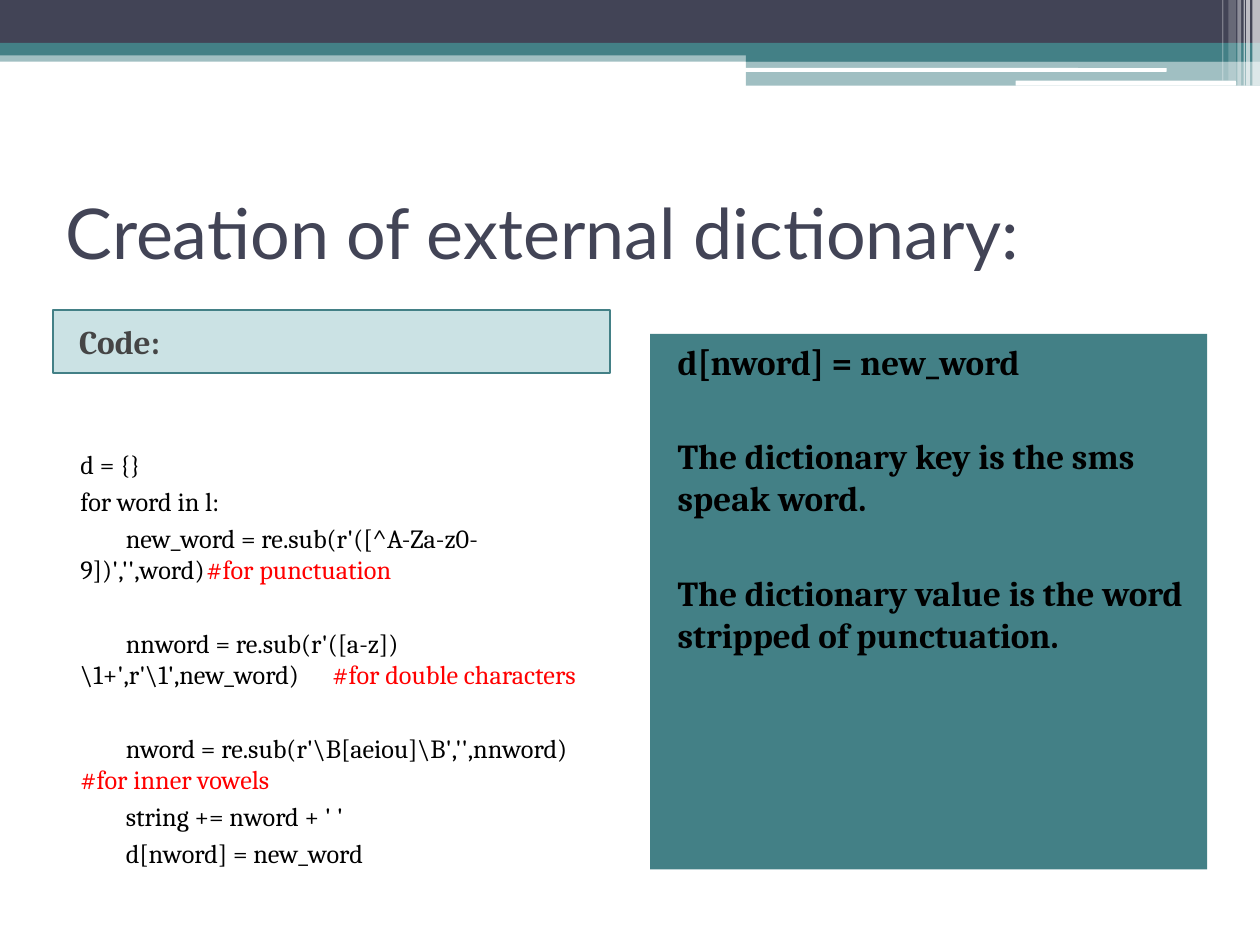
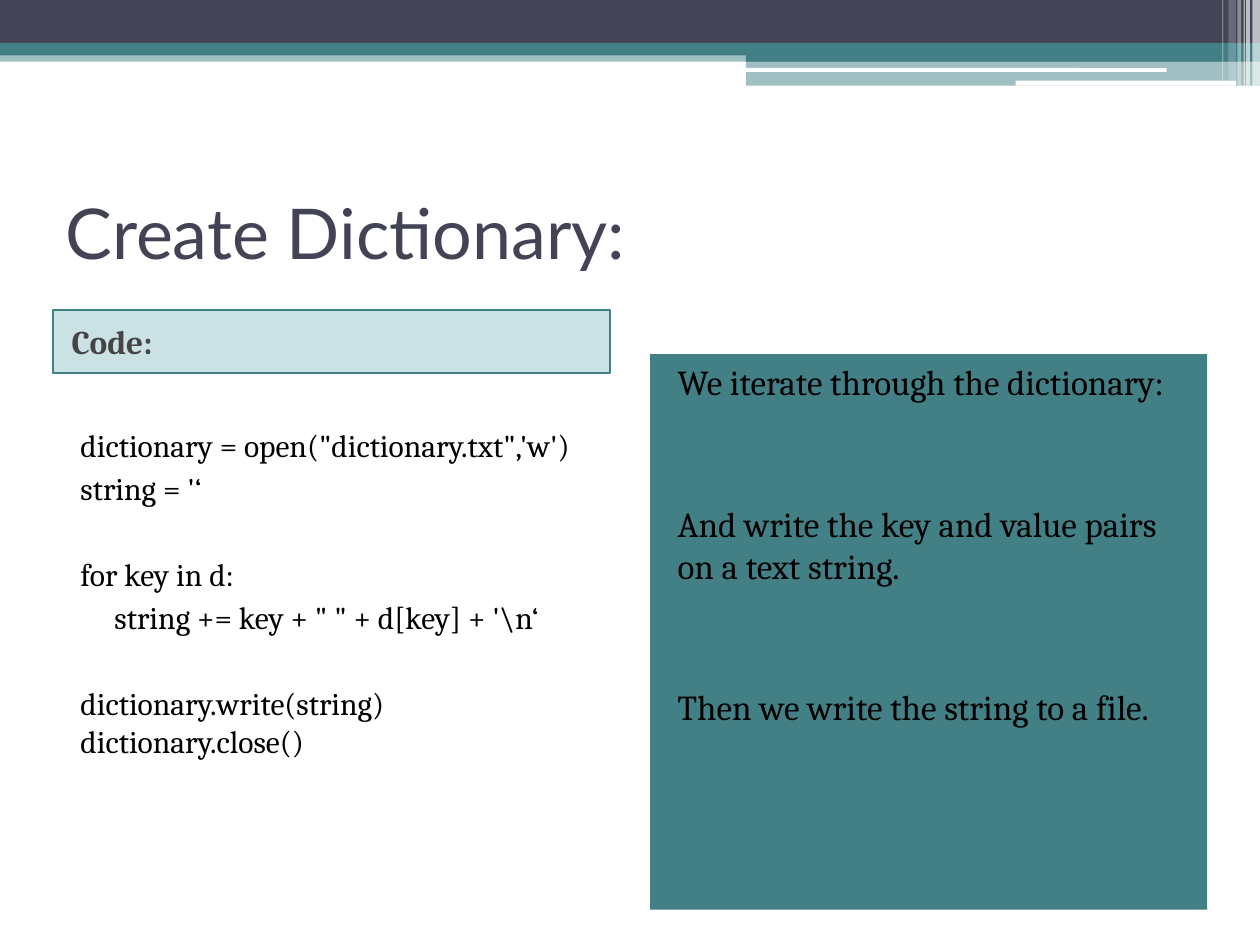
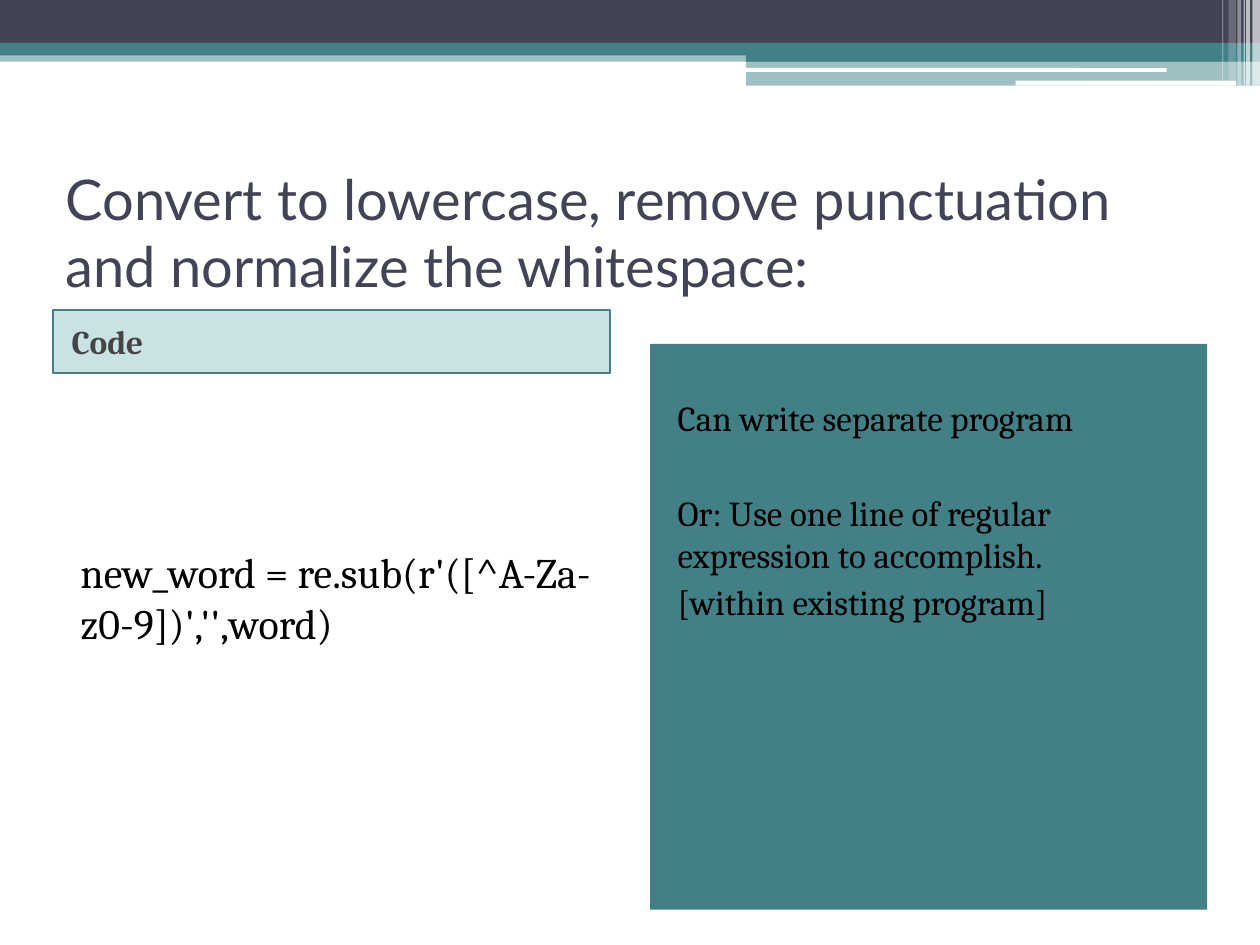
from lxml.etree import SubElement
from pptx import Presentation
from pptx.dml.color import RGBColor
from pptx.enum.shapes import MSO_SHAPE
from pptx.enum.text import MSO_ANCHOR, MSO_AUTO_SIZE, PP_ALIGN
from pptx.oxml.ns import qn
from pptx.util import Inches, Pt

COLORS = {
    "navy": "424456",
    "teal": "438086",
    "aqua": "328E97",
    "white": "FFFFFF",
    "black": "000000",
    "heading": "454545",
    "comment": "FF0000",
}
TITLE_FONT = "Lato"
BODY_FONT = "Cambria"
LEFT_COLUMN, RIGHT_COLUMN, COLUMN_WIDTH = 0.42, 5.16, 4.42
SPACE_BEFORE = 3
LINE_HEIGHT = 1.2


def add_box(slide, kind, left, top, width, height, color, opacity=100):
    box = slide.shapes.add_shape(
        kind, Inches(left), Inches(top), Inches(width), Inches(height))
    box.shadow.inherit = False
    box.line.fill.background()
    box.fill.solid()
    box.fill.fore_color.rgb = RGBColor.from_string(COLORS[color])
    if opacity < 100:
        tint = box.element.spPr.find(".//" + qn("a:srgbClr"))
        SubElement(tint, qn("a:alpha"), val=str(opacity * 1000))
    return box


def write_lines(frame, lines, size, color="black", bold=False, margin=0.12):
    frame.word_wrap = True
    frame.auto_size = MSO_AUTO_SIZE.NONE
    for number, (gap_lines, indent, text, comment, tab) in enumerate(lines):
        paragraph = frame.paragraphs[0] if number == 0 else frame.add_paragraph()
        paragraph.alignment = PP_ALIGN.LEFT
        paragraph.space_before = Pt(
            SPACE_BEFORE + gap_lines * (size * LINE_HEIGHT + SPACE_BEFORE))
        properties = paragraph._p.get_or_add_pPr()
        properties.set("marL", str(Inches(margin)))
        properties.set("indent", str(Inches(indent)))
        if tab:
            stops = SubElement(properties, qn("a:tabLst"))
            SubElement(stops, qn("a:tab"), pos=str(Inches(tab)), algn="l")
        paragraph.font.name = BODY_FONT
        paragraph.font.size = Pt(size)
        paragraph.font.bold = bold
        paragraph.font.color.rgb = RGBColor.from_string(COLORS[color])
        paragraph.add_run().text = text + ("\t" if tab else "")
        if comment:
            remark = paragraph.add_run()
            remark.text = comment
            remark.font.color.rgb = RGBColor.from_string(COLORS["comment"])


RECT, ROUNDED = MSO_SHAPE.RECTANGLE, MSO_SHAPE.ROUNDED_RECTANGLE
BANDS = [
    (RECT, 0, 0.4, 10, 0.09, "teal", 50),
    (RECT, 0, 0, 10, 0.34, "navy", 100),
    (RECT, 0, 0.34, 10, 0.1, "teal", 100),
    (RECT, 5.92, 0.39, 4.08, 0.1, "teal", 100),
    (RECT, 5.92, 0.48, 4.08, 0.2, "teal", 50),
    (ROUNDED, 5.91, 0.54, 3.35, 0.03, "white", 100),
    (ROUNDED, 8.06, 0.64, 1.75, 0.04, "white", 100),
    (RECT, 9.94, 0, 0.06, 0.68, "white", 65),
    (RECT, 9.89, 0, 0.03, 0.68, "white", 65),
    (RECT, 9.87, 0, 0.01, 0.68, "white", 60),
    (RECT, 9.82, 0, 0.03, 0.68, "white", 40),
    (RECT, 9.75, 0, 0.06, 0.64, "white", 20),
    (RECT, 9.7, 0, 0.01, 0.64, "white", 30),
]

# Each line: blank lines above, first-line indent, text, comment, tab stop.
SLIDES = [
    {
        "title": "Creation of external dictionary:", "title_size": 40,
        "heading": "Code:", "heading_margin": 0.11,
        "code_top": 3.51, "code_height": 3.7, "code_size": 15, "code_inset": 0.05,
        "code": [
            (0, 0, "d = {}", "", 0),
            (0, 0, "for word in l:", "", 0),
            (0, 0.36, "new_word = re.sub(r'([^A-Za-z0-9])','',word)",
             "#for punctuation", 1.38),
            (1, 0.36, r"nnword = re.sub(r'([a-z])\1+',r'\1',new_word)",
             "#for double characters", 2.13),
            (1, 0.36, r"nword = re.sub(r'\B[aeiou]\B','',nnword) ",
             "#for inner vowels", 0),
            (0, 0.36, "string += nword + ' '", "", 0),
            (0, 0.36, "d[nword] = new_word", "", 0),
        ],
        "panel_top": 2.65, "panel_height": 4.25, "panel_inset": 0.05, "bold": True,
        "panel": [
            (0, 0, "d[nword] = new_word", "", 0),
            (1, 0, "The dictionary key is the sms speak word.", "", 0),
            (1, 0, "The dictionary value is the word stripped of punctuation.", "", 0),
        ],
    },
    {
        "title": "Create Dictionary:", "title_size": 40,
        "heading": "Code:", "heading_margin": 0.05,
        "code_top": 2.96, "code_height": 4.02, "code_size": 18, "code_inset": 0.42,
        "code": [
            (0, 0, "dictionary = open(\"dictionary.txt\",'w')", "", 0),
            (0, 0, "string = '\u2018", "", 0),
            (1, 0, "for key in d:", "", 0),
            (0, 0.27, "string += key + \" \" + d[key] + '\\n\u2018", "", 0),
            (1, 0, "dictionary.write(string) dictionary.close()", "", 0),
        ],
        "panel_top": 2.81, "panel_height": 4.41, "panel_inset": 0.05, "bold": False,
        "panel": [
            (0, 0, "We iterate through the dictionary:", "", 0),
            (2, 0, "And write the key and value pairs on a text string.", "", 0),
            (2, 0, "Then we write the string to a file.", "", 0),
        ],
    },
    {
        "title": "Convert to lowercase, remove punctuation and normalize the whitespace:",
        "title_size": 32,
        "heading": "Code", "heading_margin": 0.05,
        "code_top": 2.96, "code_height": 4.25, "code_size": 24, "code_inset": 1.38,
        "code": [(0, 0, "new_word = re.sub(r'([^A-Za-z0-9])','',word)", "", 0)],
        "panel_top": 2.73, "panel_height": 4.49, "panel_inset": 0.42, "bold": False,
        "panel": [
            (0, 0, "Can write separate program", "", 0),
            (1, 0, "Or: Use one line of regular expression to accomplish.", "", 0),
            (0, 0, "[within existing program]", "", 0),
        ],
    },
]

deck = Presentation()
deck.slide_width, deck.slide_height = Inches(10), Inches(7.5)
layout = deck.slide_layouts.get_by_name("Title Only")

for number, content in enumerate(SLIDES):
    slide = deck.slides.add_slide(layout)
    if number == 0:
        for band in BANDS:
            layout.shapes.element.append(add_box(slide, *band).element)

    title = slide.shapes.title
    title.left, title.top = Inches(LEFT_COLUMN), Inches(1.25)
    title.width, title.height = Inches(9.17), Inches(1.17)
    title.text_frame.text = content["title"]
    title.text_frame.vertical_anchor = MSO_ANCHOR.MIDDLE
    title.text_frame.auto_size = MSO_AUTO_SIZE.NONE
    caption = title.text_frame.paragraphs[0]
    caption.alignment = PP_ALIGN.LEFT
    caption.font.name = TITLE_FONT
    caption.font.size = Pt(content["title_size"])
    caption.font.color.rgb = RGBColor.from_string(COLORS["navy"])

    heading = add_box(slide, RECT, LEFT_COLUMN, 2.46, COLUMN_WIDTH, 0.5, "aqua", 25)
    heading.line.color.rgb = RGBColor.from_string(COLORS["teal"])
    heading.line.width = Pt(1)
    heading.text_frame.vertical_anchor = MSO_ANCHOR.MIDDLE
    write_lines(heading.text_frame, [(0, 0, content["heading"], "", 0)], 19,
                "heading", True, content["heading_margin"])

    code = slide.shapes.add_textbox(
        Inches(LEFT_COLUMN), Inches(content["code_top"]),
        Inches(COLUMN_WIDTH), Inches(content["code_height"]))
    code.text_frame.margin_top = Inches(content["code_inset"])
    write_lines(code.text_frame, content["code"], content["code_size"])

    panel = add_box(slide, RECT, RIGHT_COLUMN, content["panel_top"],
                    COLUMN_WIDTH, content["panel_height"], "teal")
    panel.text_frame.vertical_anchor = MSO_ANCHOR.TOP
    panel.text_frame.margin_top = Inches(content["panel_inset"])
    write_lines(panel.text_frame, content["panel"], 20, bold=content["bold"])

deck.save("out.pptx")
